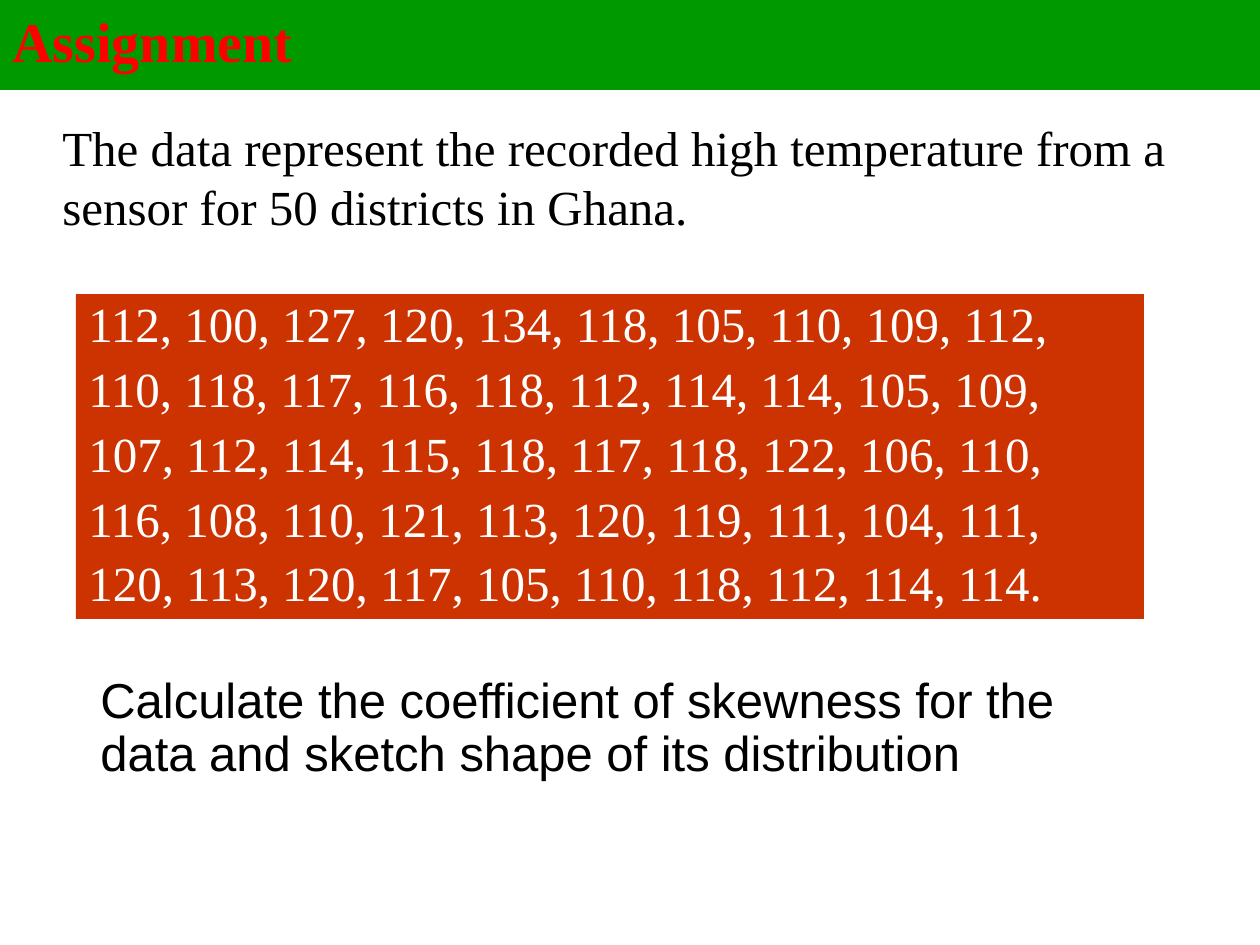
import pptx
import pptx.dml.color
import pptx.enum.shapes
import pptx.enum.text
import pptx.util

PX = pptx.util.Inches(1) // 126
SERIF = "Times New Roman"
SANS = "Arial"

TEMPERATURES = [
    "112, 100, 127, 120, 134, 118, 105, 110, 109, 112,",
    "110, 118, 117, 116, 118, 112, 114, 114, 105, 109,",
    "107, 112, 114, 115, 118, 117, 118, 122, 106, 110,",
    "116, 108, 110, 121, 113, 120, 119, 111, 104, 111,",
    "120, 113, 120, 117, 105, 110, 118, 112, 114, 114.",
]


def color(value):
    return pptx.dml.color.RGBColor.from_string(value)


def write(shape, lines, font, ink, size=28, bold=False, spacing=0.9):
    """Fill a shape with left-aligned paragraphs, one per line."""
    frame = shape.text_frame
    frame.text = "\n".join(lines)
    frame.word_wrap = True
    for index, paragraph in enumerate(frame.paragraphs):
        paragraph.alignment = pptx.enum.text.PP_ALIGN.LEFT
        paragraph.line_spacing = spacing
        if index:
            paragraph.space_before = pptx.util.Pt(6.8)
        for run in paragraph.runs:
            run.font.name = font
            run.font.size = pptx.util.Pt(size)
            run.font.bold = bold
            run.font.color.rgb = color(ink)


def add_panel(slide, left, top, width, height, fill, anchor):
    shape = slide.shapes.add_shape(
        pptx.enum.shapes.MSO_SHAPE.RECTANGLE,
        left * PX, top * PX, width * PX, height * PX)
    shape.shadow.inherit = False
    shape.fill.solid()
    shape.fill.fore_color.rgb = color(fill)
    shape.line.fill.background()
    shape.text_frame.vertical_anchor = anchor
    return shape


def add_text(slide, left, top, width, height):
    return slide.shapes.add_textbox(left * PX, top * PX, width * PX, height * PX)


def main():
    presentation = pptx.Presentation()
    presentation.slide_width = 1260 * PX
    presentation.slide_height = 945 * PX
    slide = presentation.slides.add_slide(presentation.slide_layouts[6])
    anchors = pptx.enum.text.MSO_ANCHOR

    title = add_panel(slide, 0, 0, 1260, 89, "009900", anchors.MIDDLE)
    title.line.color.rgb = color("009900")
    title.line.width = pptx.util.Pt(0.75)
    write(title, ["Assignment"], SERIF, "FF0000", size=32, bold=True)

    data = add_panel(slide, 76, 294, 1068, 325, "CC3300", anchors.TOP)
    write(data, TEMPERATURES, SERIF, "FFFFFF")

    task = add_text(slide, 88, 670, 1043, 120)
    write(task, ["Calculate the coefficient of skewness for the data "
                 "and sketch shape of its distribution"], SANS, "000000")

    introduction = add_text(slide, 50, 111, 1147, 131)
    write(introduction, ["The data represent the recorded high temperature "
                         "from a sensor for 50 districts in Ghana."],
          SERIF, "000000", spacing=1.0)

    presentation.save("out.pptx")


if __name__ == "__main__":
    main()
